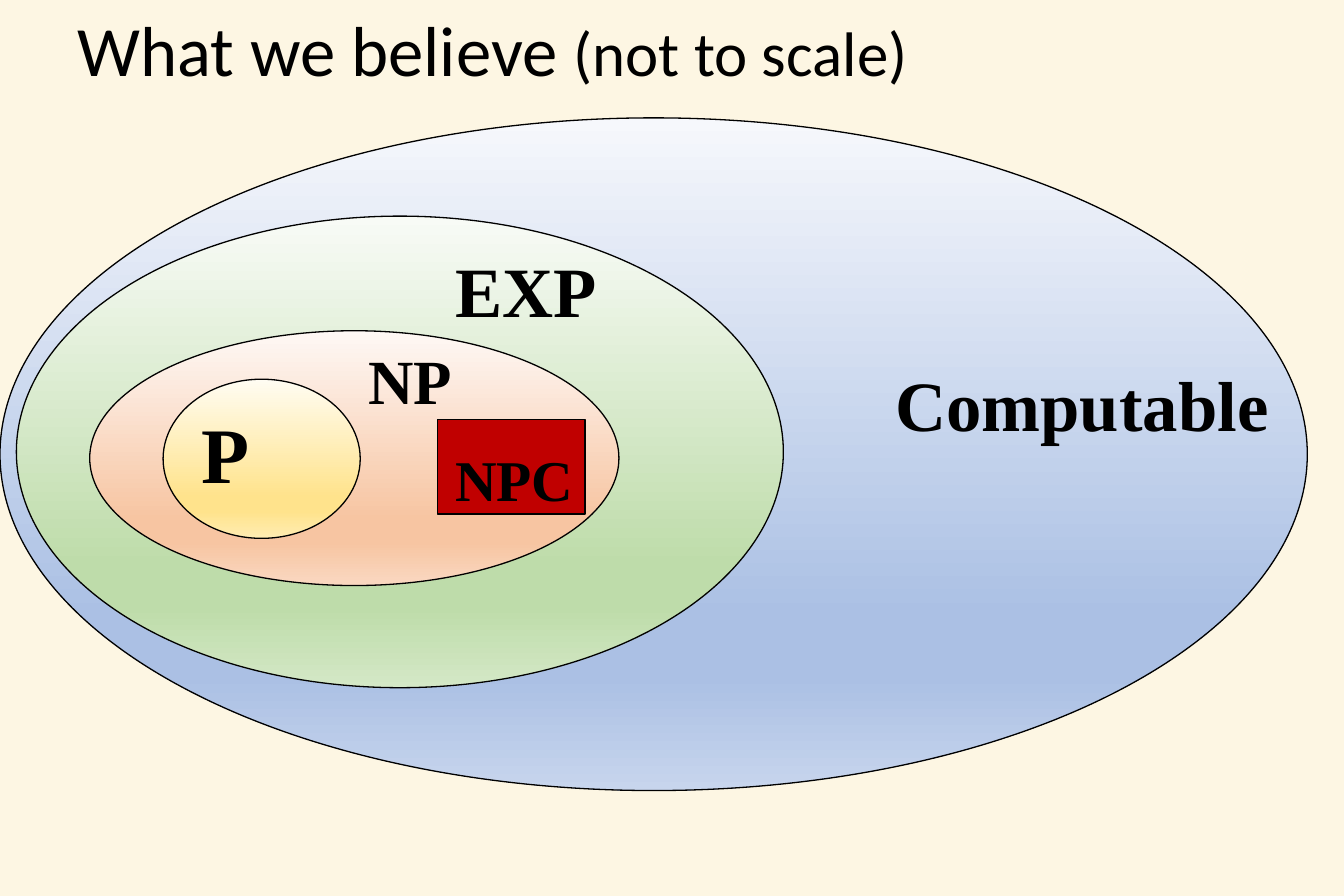
from copy import deepcopy

from pptx import Presentation
from pptx.dml.color import RGBColor
from pptx.enum.shapes import MSO_SHAPE as Preset
from pptx.enum.text import MSO_ANCHOR as Anchor, MSO_AUTO_SIZE as AutoSize, PP_ALIGN as Align
from pptx.util import Pt

BLACK = "000000"
STOP_POSITIONS = (0, 0.74, 0.83, 1)


def color(hex_code):
    return RGBColor.from_string(hex_code)


class Diagram:
    """Draws on one slide in a shared style; lengths are in points."""

    title_font = "Calibri"
    label_font = "Times New Roman"

    def __init__(self, slide, background):
        self.slide = slide
        fill = slide.background.fill
        fill.solid()
        fill.fore_color.rgb = color(background)

    def style_run(self, run, size, font, bold=False):
        run.font.size = Pt(size)
        run.font.name = font
        run.font.bold = bold
        run.font.color.rgb = color(BLACK)

    def title(self, box, parts):
        shape = self.slide.shapes.title
        shape.left, shape.top, shape.width, shape.height = map(Pt, box)
        frame = shape.text_frame
        frame.auto_size = AutoSize.NONE
        frame.vertical_anchor = Anchor.MIDDLE
        paragraph = frame.paragraphs[0]
        paragraph.alignment = Align.LEFT
        paragraph.line_spacing = 0.9
        for text, size in parts:
            run = paragraph.add_run()
            run.text = text
            self.style_run(run, size, self.title_font)

    def outlined(self, preset, box, shapes):
        shape = (shapes or self.slide.shapes).add_shape(preset, *map(Pt, box))
        shape.shadow.inherit = False
        shape.line.color.rgb = color(BLACK)
        shape.line.width = Pt(1)
        return shape

    def ellipse(self, box, light, deep, end, shapes=None):
        fill = self.outlined(Preset.OVAL, box, shapes).fill
        fill.gradient()
        fill.gradient_angle = 270
        # The default gradient has two stops; add two more
        stop_list = fill._fill._gradFill.gsLst
        for _ in range(2):
            stop_list.append(deepcopy(stop_list[0]))
        for stop, position, hex_code in zip(
            fill.gradient_stops, STOP_POSITIONS, (light, deep, deep, end)
        ):
            stop.position = position
            stop.color.rgb = color(hex_code)

    def rectangle(self, box, hex_code):
        fill = self.outlined(Preset.RECTANGLE, box, None).fill
        fill.solid()
        fill.fore_color.rgb = color(hex_code)

    def label(self, box, text, size, shapes=None):
        frame = (shapes or self.slide.shapes).add_textbox(*map(Pt, box)).text_frame
        frame.word_wrap = True
        frame.margin_left = Pt(6.5)
        frame.margin_top = Pt(10)
        frame.text = text
        self.style_run(frame.paragraphs[0].runs[0], size, self.label_font, bold=True)

    def group(self):
        return self.slide.shapes.add_group_shape().shapes


def main():
    presentation = Presentation()
    presentation.slide_width, presentation.slide_height = Pt(1026), Pt(684)
    slide = presentation.slides.add_slide(presentation.slide_layouts[5])
    diagram = Diagram(slide, "FDF6E3")

    diagram.title((52, -15, 925, 111.5), [("What we believe ", 54), ("(not to scale)", 48)])

    # Nested classes, from the largest inwards
    diagram.ellipse((0, 90, 998, 513.5), "F6F8FC", "ABC0E4", "C7D5ED")
    diagram.ellipse((12.5, 165, 585.5, 360), "F8FBF6", "BEDCAA", "D4E8C6")
    diagram.label((341, 178.5, 147.5, 73), "EXP", 54)
    diagram.ellipse((68.5, 252.5, 404, 194.5), "FEF8F5", "F7C5A2", "FAD8C1")
    diagram.label((274.5, 251, 102, 65), "NP", 48)

    # P with its label
    p_class = diagram.group()
    diagram.ellipse((124.5, 289.5, 150.5, 121.5), "FFFCF2", "FFE38C", "FFECB2", p_class)
    diagram.label((147, 299, 128, 101.5), "P", 60, p_class)

    # NP-complete problems
    diagram.rectangle((334, 320.5, 112.5, 72), "C00000")
    diagram.label((341, 328.5, 139, 60.5), "NPC", 44)

    diagram.label((677, 265.5, 340.5, 73), "Computable", 54)

    presentation.save("out.pptx")


if __name__ == "__main__":
    main()
